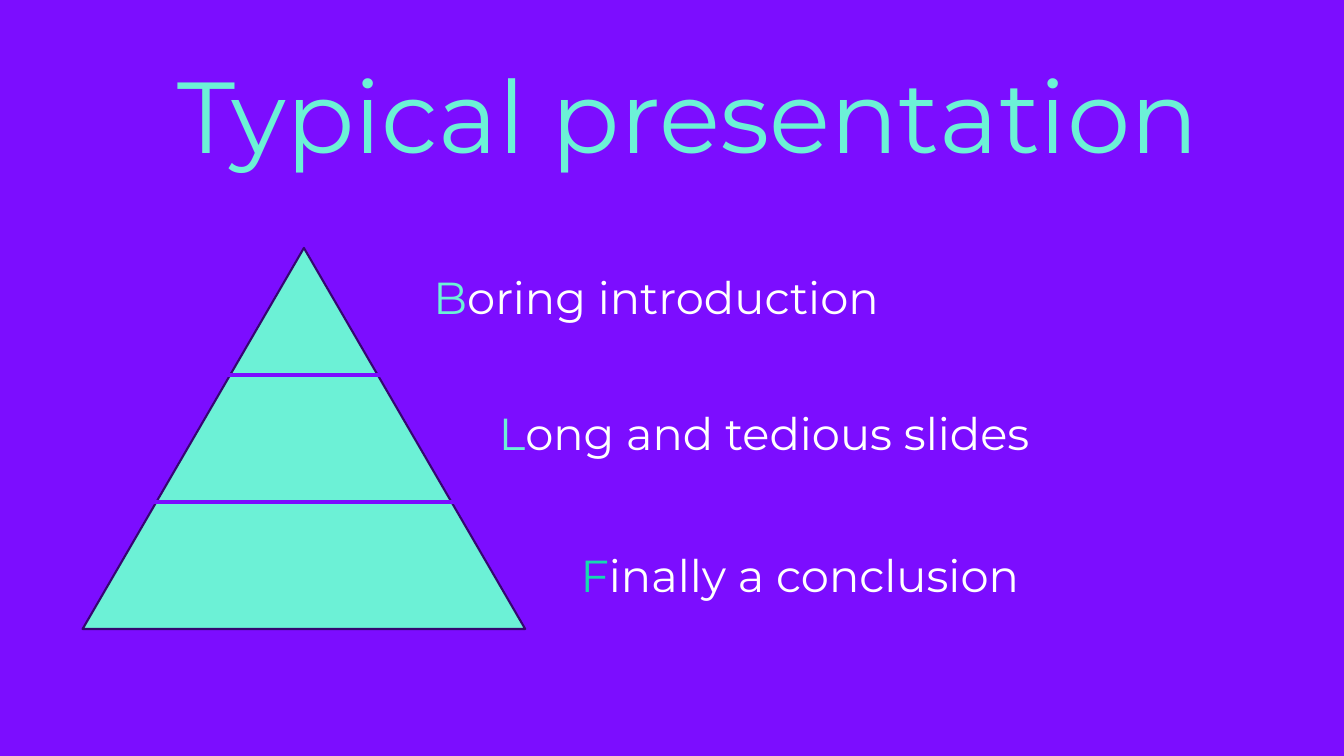
from lxml.etree import SubElement
from pptx import Presentation
from pptx.dml.color import RGBColor
from pptx.enum.shapes import MSO_CONNECTOR, MSO_SHAPE
from pptx.enum.text import MSO_ANCHOR, MSO_AUTO_SIZE, PP_ALIGN
from pptx.oxml.ns import qn
from pptx.util import Inches, Pt

WIDTH, HEIGHT = Inches(13.33), Inches(7.5)
FONT = "Montserrat"
PURPLE, MINT, GREEN = "7C0DFF", "6CF1D6", "15D9AF"
WHITE, DARK_PURPLE = "FFFFFF", "360670"

FRAME_FORMAT = {
    "word_wrap": False,
    "auto_size": MSO_AUTO_SIZE.SHAPE_TO_FIT_TEXT,
    "vertical_anchor": MSO_ANCHOR.TOP,
}

# Pyramid box in percent of the slide's width and height
PYRAMID = (6.15, 32.8, 32.93, 50.4)
# Left and right end of each cut through the pyramid
CUTS = [(12.9, 33.31), (9.98, 33.91)]
# Initial, its colour, rest of the label, left, top, width
LABELS = [
    ("B", MINT, "oring introduction", 31.51, 35.07, 35.26),
    ("L", MINT, "ong and tedious slides", 36.38, 53.07, 41.94),
    ("F", GREEN, "inally a conclusion", 42.46, 71.73, 35.86),
]
LABEL_HEIGHT = 8.53


def across(percent):
    return round(WIDTH * percent / 100)


def down(percent):
    return round(HEIGHT * percent / 100)


def place(left, top, width, height):
    return across(left), down(top), across(width), down(height)


def paint(color_format, hex_color):
    color_format.rgb = RGBColor.from_string(hex_color)


def set_attributes(target, values):
    for name, value in values.items():
        setattr(target, name, value)


def write(text_frame, size, pieces):
    """Fill a frame with one left-aligned line of coloured pieces."""
    set_attributes(text_frame, FRAME_FORMAT)
    paragraph = text_frame.paragraphs[0]
    paragraph.alignment = PP_ALIGN.LEFT
    for text, hex_color in pieces:
        run = paragraph.add_run()
        run.text = text
        set_attributes(run.font, {"name": FONT, "size": Pt(size)})
        paint(run.font.color, hex_color)


def add_title(slide, text):
    title = slide.shapes.title
    box = place(12.45, 6.27, 82.22, 17.47)
    set_attributes(title, dict(zip(("left", "top", "width", "height"), box)))
    write(title.text_frame, 72, [(text, MINT)])


def add_label(slide, initial, initial_color, rest, left, top, width):
    label = slide.shapes.add_textbox(*place(left, top, width, LABEL_HEIGHT))
    write(label.text_frame, 32, [(initial, initial_color), (rest, WHITE)])


def add_pyramid(slide):
    pyramid = slide.shapes.add_shape(MSO_SHAPE.ISOSCELES_TRIANGLE, *place(*PYRAMID))
    pyramid.shadow.inherit = False
    pyramid.fill.solid()
    paint(pyramid.fill.fore_color, MINT)
    paint(pyramid.line.color, DARK_PURPLE)
    pyramid.line.width = Pt(1.5)


def add_cut(slide, start, end, level):
    cut = slide.shapes.add_connector(
        MSO_CONNECTOR.STRAIGHT, across(start), down(level), across(end), down(level)
    )
    paint(cut.line.color, PURPLE)
    cut.line.width = Pt(3)
    SubElement(cut._element.spPr, qn("a:effectLst"))


def main():
    presentation = Presentation()
    set_attributes(presentation, {"slide_width": WIDTH, "slide_height": HEIGHT})
    slide = presentation.slides.add_slide(presentation.slide_layouts[5])

    # Background and title
    slide.background.fill.solid()
    paint(slide.background.fill.fore_color, PURPLE)
    add_title(slide, "Typical presentation")

    # Labels beside the pyramid
    for label in LABELS:
        add_label(slide, *label)

    # Pyramid, cut into tiers of equal height
    add_pyramid(slide)
    tier_height = PYRAMID[3] / (len(CUTS) + 1)
    for number, (start, end) in enumerate(CUTS, start=1):
        add_cut(slide, start, end, PYRAMID[1] + number * tier_height)

    presentation.save("out.pptx")


if __name__ == "__main__":
    main()
